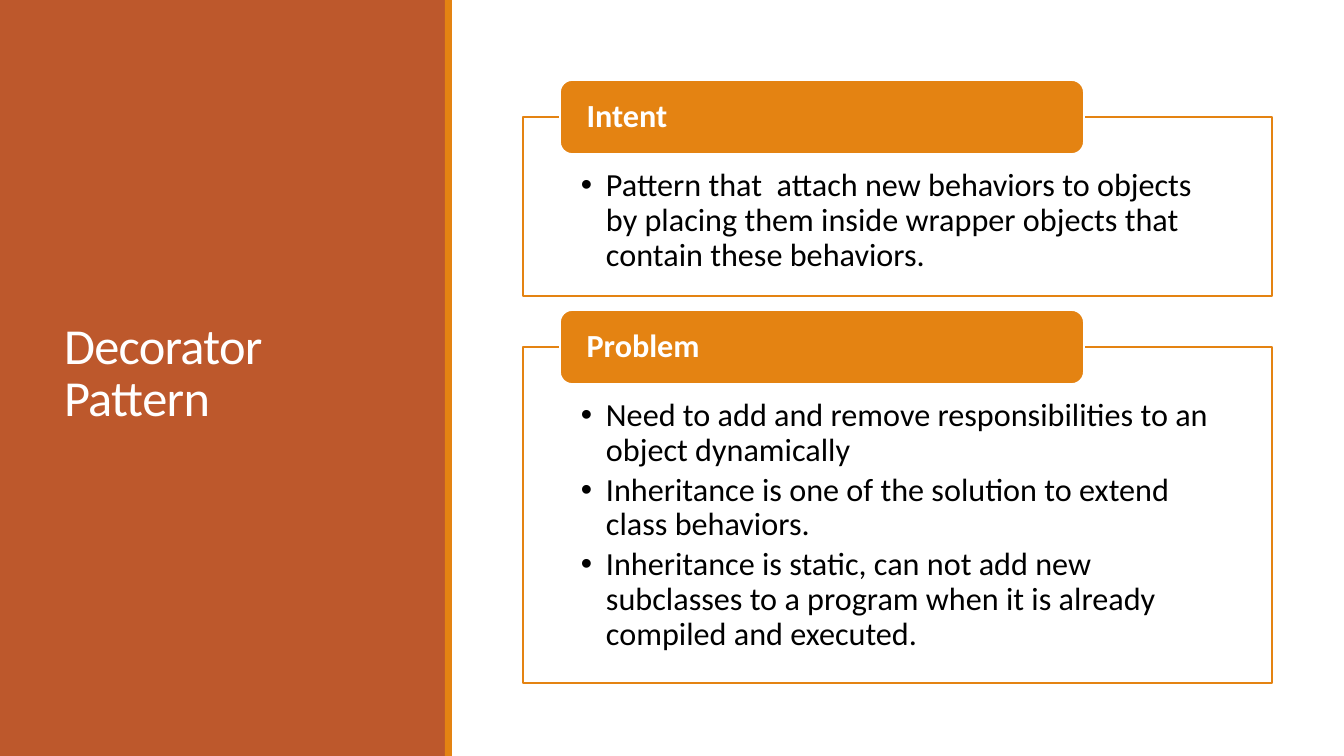
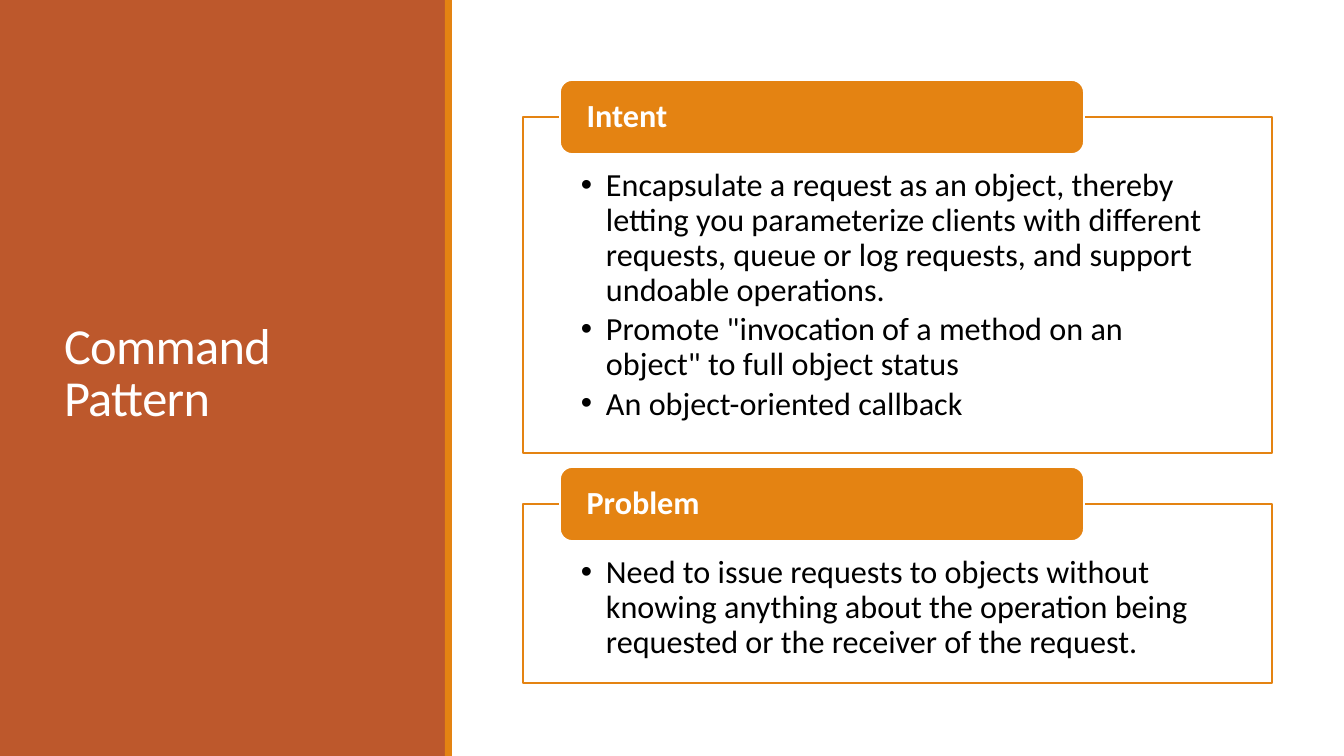
from dataclasses import dataclass

from pptx import Presentation
from pptx.dml.color import RGBColor
from pptx.enum.shapes import MSO_SHAPE as Shape
from pptx.enum.text import MSO_ANCHOR as Anchor, MSO_AUTO_SIZE as AutoSize, PP_ALIGN as Align
from pptx.oxml.ns import qn
from pptx.oxml.xmlchemy import OxmlElement
from pptx.shapes.autoshape import Shape as AutoShape
from pptx.slide import Slide
from pptx.text.text import TextFrame, _Paragraph as Paragraph
from pptx.util import Emu, Pt

SLIDE_W, SLIDE_H = 1344, 756
EMU_PER_PX = 12192000 / SLIDE_W


@dataclass(frozen=True)
class Theme:
    font: str = "Calibri"
    rust: str = "BD582C"
    orange: str = "E48312"
    white: str = "FFFFFF"
    black: str = "000000"
    title_size: int = 36
    body_size: int = 23
    title_spacing: float = 0.85
    body_spacing: float = 0.9
    bullet_gap: float = 3.5
    line_width: float = 1.25
    panel_opacity: int = 90


@dataclass(frozen=True)
class Box:
    left: int
    top: int
    width: int
    height: int

    def emu(self) -> tuple[Emu, ...]:
        return tuple(px(v) for v in (self.left, self.top, self.width, self.height))


@dataclass(frozen=True)
class Section:
    heading: str
    bullets: tuple[str, ...]
    height: int


@dataclass(frozen=True)
class PatternSlide:
    title: str
    sections: tuple[Section, ...]


THEME = Theme()
SIDEBAR = Box(0, 0, 446, SLIDE_H)
STRIPE = Box(445, 0, 7, SLIDE_H)
TITLE = Box(54, 57, 340, 636)
PANEL_LEFT, PANEL_TOP, PANEL_W, PANEL_GAP = 523, 117, 749, 51
LABEL_LEFT, LABEL_W, LABEL_H = 560, 524, 74
PANEL_INSETS = (58, 52, 58, 18)
LABEL_INSETS = (23, 0, 23, 0)
BULLET_INDENT = 25
SHORT, TALL = 179, 336

SLIDES = (
    PatternSlide("Decorator Pattern", (
        Section("Intent", (
            "Pattern that  attach new behaviors to objects by placing them inside "
            "wrapper objects that contain these behaviors.",
        ), SHORT),
        Section("Problem", (
            "Need to add and remove responsibilities to an object dynamically",
            "Inheritance is one of the solution to extend class behaviors.",
            "Inheritance is static, can not add new subclasses to a program when it "
            "is already compiled and executed.",
        ), TALL),
    )),
    PatternSlide("Command Pattern", (
        Section("Intent", (
            "Encapsulate a request as an object, thereby letting you parameterize "
            "clients with different requests, queue or log requests, and support "
            "undoable operations.",
            'Promote "invocation of a method on an object" to full object status',
            "An object-oriented callback",
        ), TALL),
        Section("Problem", (
            "Need to issue requests to objects without knowing anything about the "
            "operation being requested or the receiver of the request.",
        ), SHORT),
    )),
)


def px(value: float) -> Emu:
    return Emu(round(value * EMU_PER_PX))


def rgb(color: str) -> RGBColor:
    return RGBColor.from_string(color)


def add_block(slide: Slide, kind: Shape, box: Box, fill: str, line: str | None = None) -> AutoShape:
    sp = slide.shapes.add_shape(kind, *box.emu())
    sp.shadow.inherit = False
    sp.fill.solid()
    sp.fill.fore_color.rgb = rgb(fill)
    if line:
        sp.line.color.rgb = rgb(line)
        sp.line.width = Pt(THEME.line_width)
    else:
        sp.line.fill.background()
    return sp


def set_opacity(sp: AutoShape, percent: int) -> None:
    alpha = OxmlElement("a:alpha")
    alpha.set("val", str(percent * 1000))
    sp.element.spPr.find(qn("a:solidFill"))[0].append(alpha)


def set_frame(tf: TextFrame, insets: tuple[int, ...], anchor: Anchor) -> None:
    tf.word_wrap = True
    tf.auto_size = AutoSize.NONE
    tf.vertical_anchor = anchor
    tf.margin_left, tf.margin_top, tf.margin_right, tf.margin_bottom = map(px, insets)


def format_paragraph(p: Paragraph, size: int, color: str, spacing: float, bold: bool = False) -> None:
    p.alignment = Align.LEFT
    p.line_spacing = spacing
    for r in p.runs:
        r.font.name = THEME.font
        r.font.size = Pt(size)
        r.font.bold = bold
        r.font.color.rgb = rgb(color)


def add_bullet(p: Paragraph) -> None:
    p.space_after = Pt(THEME.bullet_gap)
    pPr = p._p.get_or_add_pPr()
    pPr.set("marL", str(px(BULLET_INDENT)))
    pPr.set("indent", str(-px(BULLET_INDENT)))
    font = OxmlElement("a:buFont")
    font.set("typeface", "Arial")
    char = OxmlElement("a:buChar")
    char.set("char", "•")
    pPr.extend((font, char))


def add_title(slide: Slide, text: str) -> None:
    sp = slide.shapes.title
    sp.element.getparent().append(sp.element)
    sp.left, sp.top, sp.width, sp.height = TITLE.emu()
    tf = sp.text_frame
    tf.text = text
    set_frame(tf, (10, 5, 10, 5), Anchor.MIDDLE)
    p = tf.paragraphs[0]
    format_paragraph(p, THEME.title_size, THEME.white, THEME.title_spacing)
    p.runs[0].font._element.set("spc", "-50")


def add_section(slide: Slide, section: Section, top: int) -> None:
    panel = add_block(slide, Shape.RECTANGLE, Box(PANEL_LEFT, top, PANEL_W, section.height),
                      THEME.white, THEME.orange)
    set_opacity(panel, THEME.panel_opacity)
    tf = panel.text_frame
    tf.text = "\n".join(section.bullets)
    set_frame(tf, PANEL_INSETS, Anchor.TOP)
    for p in tf.paragraphs:
        format_paragraph(p, THEME.body_size, THEME.black, THEME.body_spacing)
        add_bullet(p)

    label = add_block(slide, Shape.ROUNDED_RECTANGLE,
                      Box(LABEL_LEFT, top - LABEL_H // 2, LABEL_W, LABEL_H),
                      THEME.orange, THEME.white)
    label.text_frame.text = section.heading
    set_frame(label.text_frame, LABEL_INSETS, Anchor.MIDDLE)
    format_paragraph(label.text_frame.paragraphs[0], THEME.body_size, THEME.white,
                     THEME.body_spacing, bold=True)


def add_pattern_slide(prs: Presentation, content: PatternSlide) -> None:
    slide = prs.slides.add_slide(prs.slide_layouts.get_by_name("Title Only"))
    add_block(slide, Shape.RECTANGLE, SIDEBAR, THEME.rust)
    add_title(slide, content.title)
    add_block(slide, Shape.RECTANGLE, STRIPE, THEME.orange)
    top = PANEL_TOP
    for section in content.sections:
        add_section(slide, section, top)
        top += section.height + PANEL_GAP


def main() -> None:
    prs = Presentation()
    prs.slide_width, prs.slide_height = px(SLIDE_W), px(SLIDE_H)
    for content in SLIDES:
        add_pattern_slide(prs, content)
    prs.save("out.pptx")


if __name__ == "__main__":
    main()
